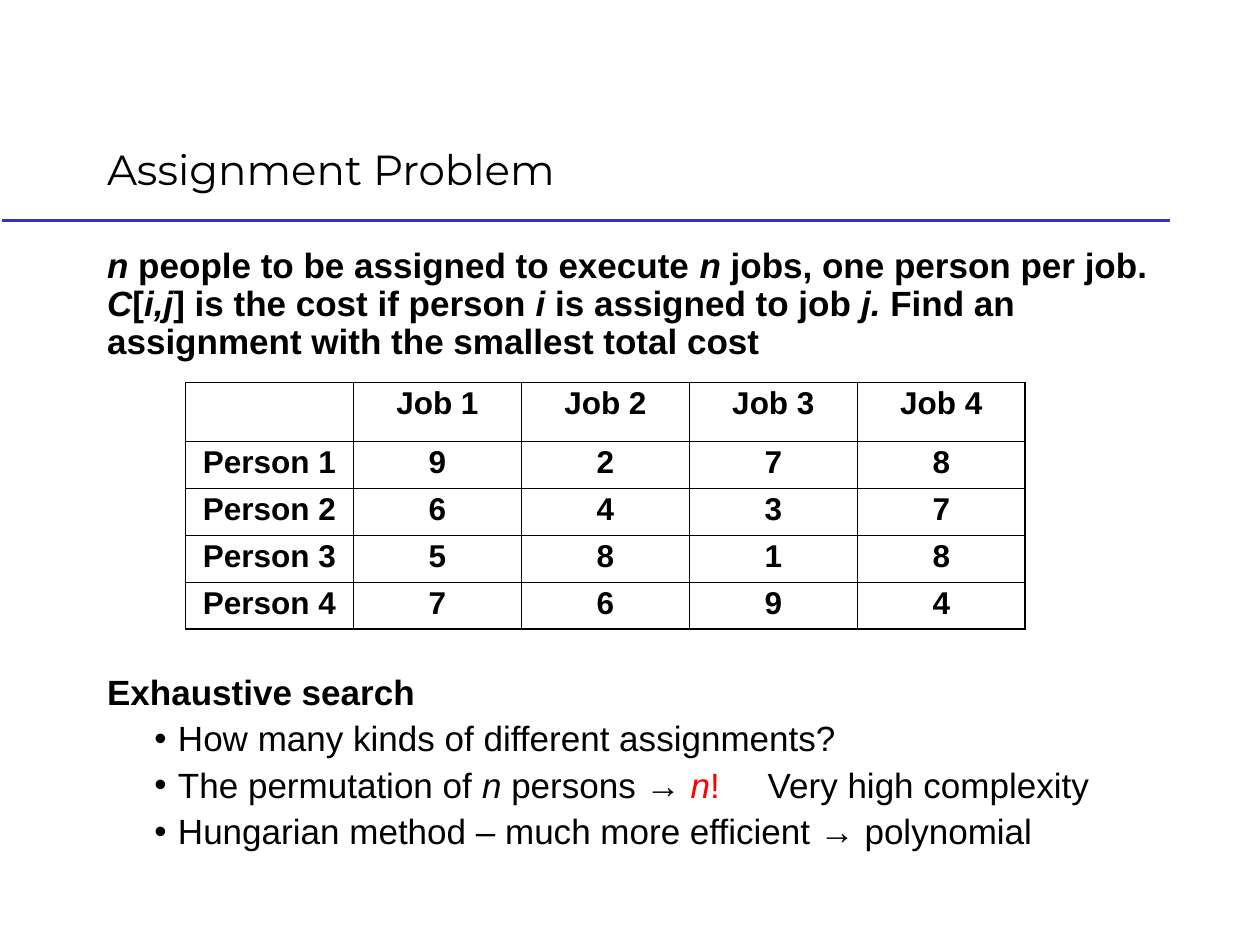
import pptx
import pptx.dml.color
import pptx.enum.shapes
import pptx.enum.text
import pptx.oxml
import pptx.oxml.ns
import pptx.util
from lxml import etree

Pt = pptx.util.Pt
ALIGN = pptx.enum.text.PP_ALIGN
ANCHOR = pptx.enum.text.MSO_ANCHOR
BLACK, RED, BLUE = "000000", "FF0000", "3333CC"

COSTS = [
    ["", "Job 1", "Job 2", "Job 3", "Job 4"],
    ["Person 1", "9", "2", "7", "8"],
    ["Person 2", "6", "4", "3", "7"],
    ["Person 3", "5", "8", "1", "8"],
    ["Person 4", "7", "6", "9", "4"],
]

# Each run is its text and, where needed, italic and colour
PROBLEM = [
    ("n", True), (" people to be assigned to execute ",), ("n", True),
    (" jobs, one person per job. ",), ("C", True), ("[",), ("i,j", True),
    ("] is the cost if person ",), ("i", True), (" is assigned to job ",),
    ("j. ", True), ("Find an assignment with the smallest total cost",),
]
SEARCH_POINTS = [
    [("How many kinds of different assignments?",)],
    [("The permutation of ",), ("n", True), (" persons → ",),
     ("n", True, RED), ("!", False, RED), ("\tVery high complexity",)],
    [("Hungarian method – much more efficient → polynomial",)],
]


def color(value):
    return pptx.dml.color.RGBColor.from_string(value)


def add_run(para, text, italic=False, ink=BLACK, size=20, bold=False, face="Arial"):
    span = para.add_run()
    span.text = text
    span.font.name = face
    span.font.size = Pt(size)
    span.font.bold = bold
    span.font.italic = italic
    span.font.color.rgb = color(ink)


def place(shape, left, top, width, height):
    shape.left, shape.top = Pt(left), Pt(top)
    shape.width, shape.height = Pt(width), Pt(height)


def set_indent(para, margin, hang, bullet=None, tab=None):
    props = para._p.get_or_add_pPr()
    props.set("marL", str(Pt(margin)))
    props.set("indent", str(Pt(-hang)))
    tag = pptx.oxml.ns.qn
    if bullet:
        etree.SubElement(props, tag("a:buFont"), typeface="Arial")
        etree.SubElement(props, tag("a:buChar"), char=bullet)
    else:
        etree.SubElement(props, tag("a:buNone"))
    if tab:
        tabs = etree.SubElement(props, tag("a:tabLst"))
        etree.SubElement(tabs, tag("a:tab"), pos=str(Pt(tab)), algn="l")


def add_heading(page, left, top, width, height):
    title = page.shapes.title
    place(title, left, top, width, height)
    frame = title.text_frame
    frame.auto_size = pptx.enum.text.MSO_AUTO_SIZE.NONE
    frame.vertical_anchor = ANCHOR.BOTTOM
    para = frame.paragraphs[0]
    para.alignment = ALIGN.LEFT
    add_run(para, "Assignment Problem", size=24, face="Montserrat")

    # Rule below the title
    rule_top = top + height + 11.5
    rule = page.shapes.add_connector(
        pptx.enum.shapes.MSO_CONNECTOR.STRAIGHT,
        Pt(1), Pt(rule_top), Pt(668.5), Pt(rule_top))
    rule.line.color.rgb = color(BLUE)
    rule.line.width = Pt(1.5)
    etree.SubElement(rule._element.spPr, pptx.oxml.ns.qn("a:effectLst"))


def add_body(page, left, top, width, height):
    body = page.placeholders[1]
    place(body, left, top, width, height)
    frame = body.text_frame
    frame.auto_size = pptx.enum.text.MSO_AUTO_SIZE.NONE

    # Statement, then a heading below the room kept for the table
    statements = [(PROBLEM, 0), ([("Exhaustive search",)], 179)]
    for index, (runs, gap) in enumerate(statements):
        para = frame.add_paragraph() if index else frame.paragraphs[0]
        set_indent(para, 0, 0)
        para.space_before = Pt(gap)
        para.line_spacing = 0.9
        for run in runs:
            add_run(para, *run, bold=True)

    # Bulleted points
    for runs in SEARCH_POINTS:
        para = frame.add_paragraph()
        para.level = 1
        set_indent(para, 40.5, 13.5, bullet="•", tab=377.5)
        para.space_before = Pt(5)
        para.line_spacing = 0.9
        for run in runs:
            add_run(para, *run)


def set_borders(cell, widths):
    props = cell._tc.get_or_add_tcPr()
    for index, (side, width) in enumerate(widths.items()):
        line = pptx.oxml.parse_xml(
            f'<a:ln{side} {pptx.oxml.ns.nsdecls("a")} w="{Pt(width)}">'
            f'<a:solidFill><a:srgbClr val="{BLACK}"/></a:solidFill></a:ln{side}>')
        props.insert(index, line)


def add_cost_table(page, left, top, width, header_height, row_height):
    count = len(COSTS)
    height = header_height + (count - 1) * row_height
    table = page.shapes.add_table(
        count, count, Pt(left), Pt(top), Pt(width), Pt(height)).table
    table.first_row = table.horz_banding = False
    last = count - 1
    for index in range(count):
        table.columns[index].width = Pt(width / count)
        table.rows[index].height = Pt(row_height if index else header_height)

    for row, values in enumerate(COSTS):
        for column, value in enumerate(values):
            cell = table.cell(row, column)
            cell.fill.background()
            # Outer edges are heavier than inner ones
            edges = {"L": column == 0, "R": column == last,
                     "T": row == 0, "B": row == last}
            set_borders(cell, {side: 1.08 if outer else 0.45
                               for side, outer in edges.items()})
            para = cell.text_frame.paragraphs[0]
            para.alignment = ALIGN.CENTER
            para.line_spacing = 0.9
            if value:
                add_run(para, value, size=18, bold=True)


def main():
    deck = pptx.Presentation()
    deck.slide_width, deck.slide_height = Pt(720), Pt(540)
    page = deck.slides.add_slide(deck.slide_layouts[1])
    add_heading(page, 54, 48.25, 612, 66.25)
    add_body(page, 54, 138.25, 612, 360)
    add_cost_table(page, 106, 218.5, 480, 33.75, 26.85)
    deck.save("out.pptx")


if __name__ == "__main__":
    main()
